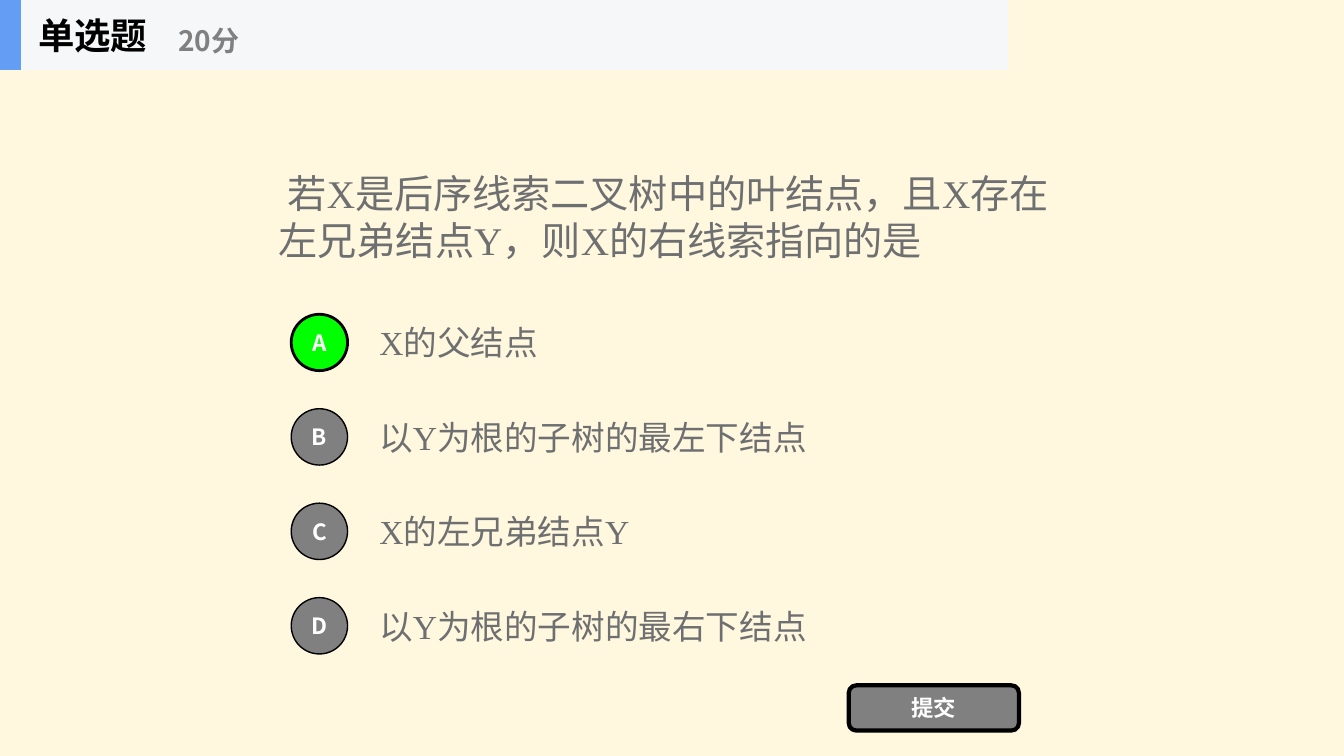
from dataclasses import dataclass

import pptx
import pptx.dml.color
import pptx.enum.lang
import pptx.enum.shapes
import pptx.enum.text
import pptx.oxml
import pptx.oxml.ns
import pptx.util

Cm = pptx.util.Cm
Pt = pptx.util.Pt
RGBColor = pptx.dml.color.RGBColor
MSO_SHAPE = pptx.enum.shapes.MSO_SHAPE
PP_ALIGN = pptx.enum.text.PP_ALIGN

CREAM = RGBColor(0xFF, 0xF7, 0xDE)
BLACK = RGBColor(0x00, 0x00, 0x00)
WHITE = RGBColor(0xFF, 0xFF, 0xFF)
GREY = RGBColor(0x80, 0x80, 0x80)
SLATE = RGBColor(0x6D, 0x6F, 0x71)
GREEN = RGBColor(0x00, 0xFF, 0x00)
PALE = RGBColor(0xF6, 0xF7, 0xF8)
BLUE = RGBColor(0x63, 0x9E, 0xF4)

SANS = "Noto Sans CJK SC"
SERIF = "Times New Roman"


@dataclass
class Box:
    """Position and size in centimetres."""
    left: float
    top: float
    width: float
    height: float

    def emu(self) -> tuple:
        return Cm(self.left), Cm(self.top), Cm(self.width), Cm(self.height)


@dataclass
class Style:
    font: str
    size: int
    color: RGBColor
    bold: bool = False


@dataclass
class Option:
    letter: str
    text: str
    selected: bool = False


QUESTION = Style(SERIF, 28, SLATE)
ANSWER = Style(SERIF, 24, SLATE)
BUTTON = Style(SANS, 16, WHITE, True)
TITLE = Style(SANS, 26, BLACK, True)
SCORE = Style(SANS, 20, GREY, True)

OPTIONS = [
    Option("A", "X的父结点", selected=True),
    Option("B", "以Y为根的子树的最左下结点"),
    Option("C", "X的左兄弟结点Y"),
    Option("D", "以Y为根的子树的最右下结点"),
]
OPTION_TOP, OPTION_STEP = 7.74, 2.38


def write(sp, text: str, style: Style, align=PP_ALIGN.LEFT):
    tf = sp.text_frame
    tf.word_wrap = True
    tf.vertical_anchor = pptx.enum.text.MSO_ANCHOR.MIDDLE
    p = tf.paragraphs[0]
    p.alignment = align
    r = p.add_run()
    r.text = text
    font = r.font
    font.name, font.size, font.bold = style.font, Pt(style.size), style.bold
    font.color.rgb = style.color
    font.language_id = pptx.enum.lang.MSO_LANGUAGE_ID.SIMPLIFIED_CHINESE
    # East Asian typeface
    ea = pptx.oxml.parse_xml(
        f'<a:ea {pptx.oxml.ns.nsdecls("a")} typeface="{SANS}"/>')
    r._r.get_or_add_rPr().find(pptx.oxml.ns.qn("a:latin")).addnext(ea)
    return p


def add_text(shapes, box: Box, text: str, style: Style):
    sp = shapes.add_textbox(*box.emu())
    write(sp, text, style)
    return sp


def add_block(shapes, kind, box: Box, fill: RGBColor, line: float = 0):
    sp = shapes.add_shape(kind, *box.emu())
    sp.shadow.inherit = False
    sp.fill.solid()
    sp.fill.fore_color.rgb = fill
    if line:
        sp.line.color.rgb = BLACK
        sp.line.width = Pt(line)
    else:
        sp.line.fill.background()
    return sp


def add_button(shapes, kind, box: Box, text: str, fill: RGBColor, line: float):
    sp = add_block(shapes, kind, box, fill, line)
    tf = sp.text_frame
    tf.margin_left = tf.margin_right = tf.margin_top = tf.margin_bottom = 0
    write(sp, text, BUTTON, PP_ALIGN.CENTER)
    return sp


def main() -> None:
    prs = pptx.Presentation()
    prs.slide_width, prs.slide_height = Cm(33.87), Cm(19.05)
    s = prs.slides.add_slide(prs.slide_layouts[6])
    s.background.fill.solid()
    s.background.fill.fore_color.rgb = CREAM

    # Question, set low in its box with an indented first line
    sp = add_text(s.shapes, Box(6.77, 1.75, 20.32, 5.94),
                  "若X是后序线索二叉树中的叶结点，且X存在左兄弟结点Y，则X的右线索指向的是",
                  QUESTION)
    sp.text_frame.margin_top = Cm(1.6)
    pPr = sp.text_frame.paragraphs[0]._p.get_or_add_pPr()
    pPr.set("marL", "0")
    pPr.set("indent", str(Cm(0.23)))

    # Options
    for i, option in enumerate(OPTIONS):
        top = OPTION_TOP + i * OPTION_STEP
        add_text(s.shapes, Box(9.31, top, 17.78, 1.78), option.text, ANSWER)
        add_button(s.shapes, MSO_SHAPE.OVAL, Box(7.34, top + 0.18, 1.42, 1.42),
                   option.letter, GREEN if option.selected else GREY,
                   2 if option.selected else 1)

    # Submit button
    add_button(s.shapes, MSO_SHAPE.ROUNDED_RECTANGLE,
               Box(21.39, 17.27, 4.29, 1.14), "提交", GREY, 3)

    # Header
    header = s.shapes.add_group_shape().shapes
    add_block(header, MSO_SHAPE.RECTANGLE, Box(0, 0, 25.4, 1.76), PALE)
    add_block(header, MSO_SHAPE.RECTANGLE, Box(0, 0, 0.53, 1.76), BLUE)
    add_text(header, Box(0.71, 0, 5.28, 1.76), "单选题", TITLE)
    add_text(header, Box(4.24, 0.3, 6.35, 1.42), "20分", SCORE)

    prs.save("out.pptx")


if __name__ == "__main__":
    main()
